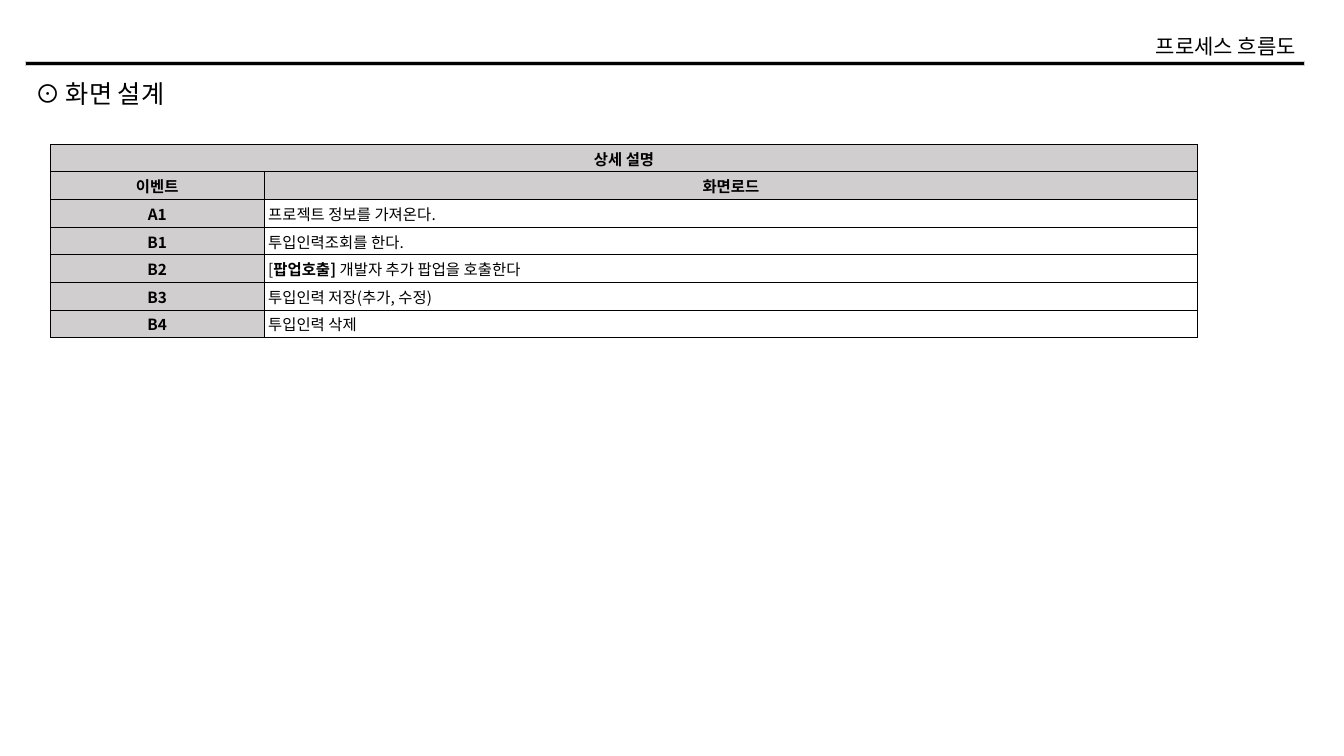
from dataclasses import dataclass

from lxml.etree import SubElement
from pptx import Presentation
from pptx.dml.color import RGBColor
from pptx.enum.shapes import MSO_SHAPE as Shape
from pptx.enum.text import MSO_ANCHOR as Anchor, MSO_AUTO_SIZE as AutoSize, PP_ALIGN as Align
from pptx.oxml.ns import qn
from pptx.util import Inches, Pt

FONT = "Noto Sans CJK KR"
BLACK, GRAY, WHITE = "000000", "D0CECE", "FFFFFF"


@dataclass
class Heading:
    text: str
    left: float
    top: float
    width: float
    height: float
    size: float
    align: Align


@dataclass
class Event:
    code: str
    description: str
    label: str = ""  # bold words between the bracket and the description


def color(hex_value: str) -> RGBColor:
    return RGBColor.from_string(hex_value)


def format_run(run, size: float, bold: bool = False) -> None:
    run.font.size = Pt(size)
    run.font.bold = bold
    run.font.color.rgb = color(BLACK)
    run.font.name = FONT
    SubElement(run.font._element, qn("a:ea"), typeface=FONT)


def add_heading(page, heading: Heading) -> None:
    box = page.shapes.add_textbox(Inches(heading.left), Inches(heading.top),
                                  Inches(heading.width), Inches(heading.height))
    frame = box.text_frame
    frame.text = heading.text
    frame.word_wrap = False
    frame.auto_size = AutoSize.SHAPE_TO_FIT_TEXT
    para = frame.paragraphs[0]
    para.alignment = heading.align
    format_run(para.runs[0], heading.size)


def add_borders(cell) -> None:
    properties = cell._tc.get_or_add_tcPr()
    for position, side in enumerate(("lnL", "lnR", "lnT", "lnB")):
        line = properties.makeelement(qn(f"a:{side}"), {"w": str(Pt(0.5))})
        fill = SubElement(line, qn("a:solidFill"))
        SubElement(fill, qn("a:srgbClr"), val=BLACK)
        properties.insert(position, line)


def fill_cell(cell, spans: list[tuple[str, bool]], fill: str, align: Align) -> None:
    cell.fill.solid()
    cell.fill.fore_color.rgb = color(fill)
    cell.vertical_anchor = Anchor.MIDDLE
    cell.margin_left = Inches(0.04 if align == Align.LEFT else 0.01)
    cell.margin_right = cell.margin_top = Inches(0.01)
    cell.margin_bottom = 0
    para = cell.text_frame.paragraphs[0]
    para.alignment = align
    for text, bold in spans:
        span = para.add_run()
        span.text = text
        format_run(span, 11, bold)
    add_borders(cell)


def fill_header(cell, text: str) -> None:
    fill_cell(cell, [(text, True)] if text else [], GRAY, Align.CENTER)


def add_event_table(page, events: list[Event]) -> None:
    row_count = len(events) + 2
    table = page.shapes.add_table(row_count, 2, Inches(0.5), Inches(1.43),
                                  Inches(11.38), Inches(1.92)).table
    table.first_row = table.horz_banding = False
    for column, width in zip(table.columns, (2.12, 9.26)):
        column.width = Inches(width)
    for row in table.rows:
        row.height = Inches(1.92 / row_count)

    # Header rows
    table.cell(0, 0).merge(table.cell(0, 1))
    for row, titles in enumerate((("상세 설명", ""), ("이벤트", "화면로드"))):
        for column, title in enumerate(titles):
            fill_header(table.cell(row, column), title)

    # One row per event
    for row, event in enumerate(events, start=2):
        fill_header(table.cell(row, 0), event.code)
        spans = [(event.description, False)]
        if event.label:
            spans = [("[", False), (event.label, True)] + spans
        fill_cell(table.cell(row, 1), spans, WHITE, Align.LEFT)


HEADINGS = [
    Heading("프로세스 흐름도", 11.2, 0.28, 1.75, 0.35, 15, Align.RIGHT),
    Heading("⊙ 화면 설계", 0.25, 0.73, 1.63, 0.4, 18, Align.LEFT),
]
EVENTS = [
    Event("A1", "프로젝트 정보를 가져온다."),
    Event("B1", "투입인력조회를 한다."),
    Event("B2", "개발자 추가 팝업을 호출한다", "팝업호출] "),
    Event("B3", "투입인력 저장(추가, 수정)"),
    Event("B4", "투입인력 삭제"),
]

deck = Presentation()
deck.slide_width, deck.slide_height = Inches(13.33), Inches(7.5)
page = deck.slides.add_slide(deck.slide_layouts[6])

# Rule under the page title
rule = page.shapes.add_shape(Shape.RECTANGLE, Inches(0.25), Inches(0.61),
                             Inches(12.69), Inches(0.04))
rule.shadow.inherit = False
rule.fill.solid()
rule.fill.fore_color.rgb = color(BLACK)
rule.line.color.rgb = color(GRAY)
rule.line.width = Pt(0.3)

# Headings and event table
for heading in HEADINGS:
    add_heading(page, heading)
add_event_table(page, EVENTS)

deck.save("out.pptx")
